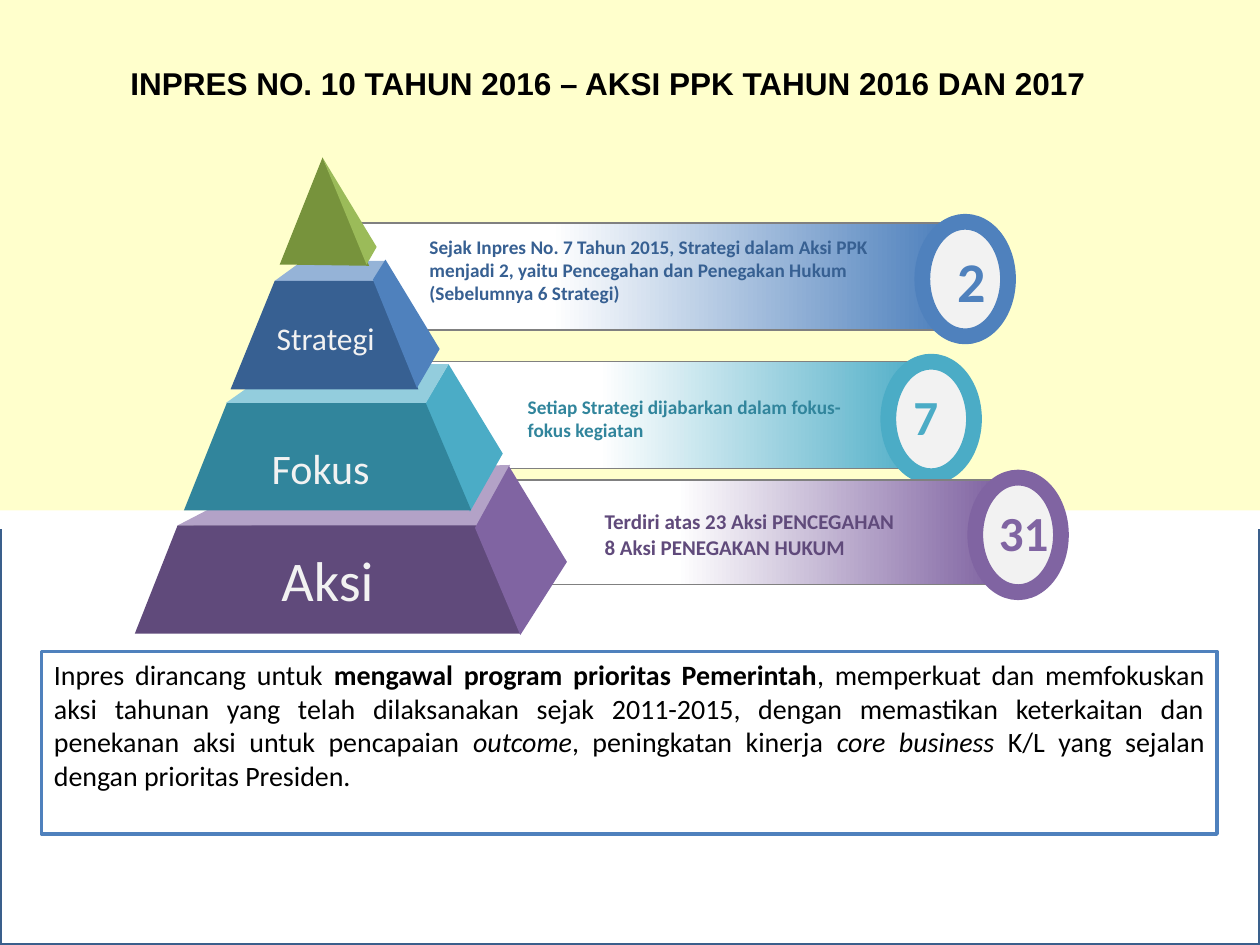
from copy import deepcopy

from lxml import etree
from pptx import Presentation
from pptx import util as u
from pptx.dml.color import RGBColor
from pptx.enum import shapes, text
from pptx.oxml.ns import qn

WHITE = RGBColor(0xFF, 0xFF, 0xFF)
BLACK = RGBColor(0, 0, 0)
CREAM = RGBColor(0xFF, 0xFF, 0xCC)
PALE = RGBColor(0xF2, 0xF2, 0xF2)
GRAY = RGBColor(0x80, 0x80, 0x80)
NAVY = RGBColor(0x3A, 0x5F, 0x8C)
# Dark, middle and light tone of each level
BLUE = [RGBColor.from_string(c) for c in ("376092", "4F81BD", "95B3D7")]
TEAL = [RGBColor.from_string(c) for c in ("31859C", "4BACC6", "93CDDD")]
PLUM = [RGBColor.from_string(c) for c in ("604A7B", "8064A2", "B3A2C7")]
LEAF = [RGBColor.from_string(c) for c in ("77933C", "9BBB59")]
RECT, OVAL = shapes.MSO_SHAPE.RECTANGLE, shapes.MSO_SHAPE.OVAL
ALIGN, ANCHOR = text.PP_ALIGN, text.MSO_ANCHOR


class Deck:
    face = "Calibri"

    def __init__(self, wide, high):
        self.prs = Presentation()
        self.prs.slide_width, self.prs.slide_height = u.Inches(wide), u.Inches(high)
        self.slide = self.prs.slides.add_slide(self.prs.slide_layouts[6])

    def paint(self, item, fill, line=None, width=0):
        item.shadow.inherit = False
        item.fill.solid()
        item.fill.fore_color.rgb = fill
        if line is None:
            item.line.fill.background()
        else:
            item.line.color.rgb = line
            item.line.width = u.Pt(width)
        return item

    def shape(self, kind, box, fill, line=None, width=0):
        item = self.slide.shapes.add_shape(kind, *map(u.Inches, box))
        return self.paint(item, fill, line, width)

    def fade(self, item, tone):
        """White up to 35 percent, then running into the tone."""
        item.fill.gradient()
        item.fill.gradient_angle = 0
        first, last = item.fill.gradient_stops
        first.color.rgb, last.color.rgb = WHITE, tone
        stops = item._element.spPr.find(qn("a:gradFill")).find(qn("a:gsLst"))
        mid = deepcopy(stops[0])
        mid.set("pos", "35000")
        stops.insert(1, mid)

    def side(self, points, fill):
        start, *rest = [tuple(map(u.Inches, p)) for p in points]
        form = self.slide.shapes.build_freeform(*start)
        form.add_line_segments(rest, close=True)
        self.paint(form.convert_to_shape(), fill)

    def words(self, item, paras, size, color, align=ALIGN.LEFT, wrap=True,
              anchor=ANCHOR.TOP, space=None, **style):
        """Each paragraph is a list of (words, extra format) pairs."""
        frame = item.text_frame
        frame.word_wrap, frame.vertical_anchor = wrap, anchor
        for i, runs in enumerate(paras):
            para = frame.add_paragraph() if i else frame.paragraphs[0]
            para.alignment, para.line_spacing = align, space
            for part, extra in runs:
                run = para.add_run()
                run.text = part
                look = {"name": self.face, "size": u.Pt(size), **style, **extra}
                for key, value in look.items():
                    setattr(run.font, key, value)
                run.font.color.rgb = color

    def label(self, box, lines, size, color, **style):
        item = self.slide.shapes.add_textbox(*map(u.Inches, box))
        self.words(item, [[(line, {})] for line in lines], size, color, **style)
        return item

    def shade(self, item):
        """Give the letters a small gray shadow."""
        for para in item.text_frame.paragraphs:
            for run in para.runs:
                props = run.font._element
                glow = etree.Element(qn("a:effectLst"))
                drop = etree.SubElement(glow, qn("a:outerShdw"),
                                        dist="25400", dir="2700000")
                etree.SubElement(drop, qn("a:srgbClr"), val="808080")
                props.find(qn("a:solidFill")).addnext(glow)


deck = Deck(10, 7.5)

# Backdrop
deck.shape(RECT, (0, 4.14, 10, 3.36), WHITE, NAVY, 2)
deck.shape(RECT, (0, 4.02, 10, 0.15), WHITE, WHITE, 4)
deck.shape(RECT, (0, 0, 10, 4.05), CREAM)

# Bars: tones, bar, note box, note lines, note size, wrap, ring spot,
# count box, count, count size
BARS = [
    (BLUE, (2.7, 1.77, 4.8, 0.85), (3.31, 1.82, 3.99, 0.66),
     ["Sejak Inpres No. 7 Tahun 2015, Strategi dalam Aksi PPK menjadi 2, "
      "yaitu Pencegahan dan Penegakan Hukum (Sebelumnya 6 Strategi)"],
     11, True, (7.32, 1.76), (7.5, 1.91, 0.43, 0.64), "2", 32),
    (TEAL, (3.35, 2.87, 4.03, 0.85), (4.09, 3.09, 2.8, 0.47),
     ["Setiap Strategi dijabarkan dalam fokus-fokus kegiatan"],
     11, True, (7.05, 2.87), (7.15, 3.02, 0.4, 0.57), "7", 28),
    (PLUM, (4, 3.81, 3.92, 0.83), (4.7, 3.99, 2.57, 0.5),
     ["Terdiri atas 23 Aksi PENCEGAHAN", "8 Aksi PENEGAKAN HUKUM"],
     12, False, (7.74, 3.79), (7.83, 3.94, 0.6, 0.57), "31", 28),
]
for (dark, tone, _), bar, note, lines, size, wrap, spot, box, count, big in BARS:
    deck.fade(deck.shape(RECT, bar, WHITE, GRAY, 0.75), tone)
    deck.label(note, lines, size, dark, wrap=wrap, bold=True)
    deck.shape(OVAL, (*spot, 0.68, 0.91), PALE, tone, 9)
    deck.label(box, [count], big, tone, wrap=False, bold=True)

# Pyramid, from the base up
SIDES = [
    (PLUM[2], [(1.41, 4.17), (3.78, 4.18), (4.05, 3.69), (2.24, 3.74)]),
    (PLUM[0], [(1.07, 5.03), (4.13, 5.03), (3.78, 4.17), (1.41, 4.17)]),
    (PLUM[1], [(4.13, 5.04), (4.5, 4.46), (4.04, 3.7), (3.77, 4.19)]),
    (TEAL[1], [(3.37, 3.21), (3.73, 4.06), (3.99, 3.6), (3.56, 2.89)]),
    (TEAL[2], [(1.79, 3.2), (3.38, 3.2), (3.56, 2.89), (2.23, 2.89)]),
    (TEAL[0], [(1.46, 4.05), (3.74, 4.05), (3.38, 3.2), (1.8, 3.2)]),
    (BLUE[2], [(2.18, 2.23), (2.96, 2.23), (3.06, 2.07), (2.4, 2.07)]),
    (BLUE[0], [(1.83, 3.09), (3.32, 3.09), (2.97, 2.23), (2.18, 2.23)]),
    (BLUE[1], [(3.31, 3.08), (3.49, 2.77), (3.06, 2.06), (2.96, 2.22)]),
    (LEAF[0], [(2.22, 2.1), (2.93, 2.11), (2.56, 1.25)]),
    (LEAF[1], [(2.91, 2.1), (2.99, 1.96), (2.56, 1.25)]),
]
for fill, points in SIDES:
    deck.side(points, fill)

# Level names
LEVELS = [
    ("Fokus", (2.05, 3.54, 0.99, 0.43), 24, {"space": 0.8}),
    ("Strategi", (2.09, 2.54, 0.99, 0.35), 18, {"space": 0.8}),
    ("Aksi", (1.56, 4.47, 2.08, 0.26), 32, {"anchor": ANCHOR.MIDDLE}),
]
for name, box, size, style in LEVELS:
    deck.shade(deck.label(box, [name], size, PALE, align=ALIGN.CENTER,
                          wrap=False, **style))

# Summary
panel = deck.shape(RECT, (0.33, 5.17, 9.33, 1.45), WHITE, BLUE[1], 2)
deck.words(panel, [[
    ("Inpres dirancang untuk ", {}),
    ("mengawal program prioritas Pemerintah", {"bold": True}),
    (", memperkuat dan memfokuskan aksi tahunan yang telah dilaksanakan sejak "
     "2011-2015, dengan memastikan keterkaitan dan penekanan aksi untuk "
     "pencapaian ", {}),
    ("outcome", {"italic": True}),
    (", peningkatan kinerja ", {}),
    ("core business", {"italic": True}),
    (" K/L yang sejalan dengan prioritas Presiden.", {}),
]], 16, BLACK, align=ALIGN.JUSTIFY)

# Title
deck.label((0.9, 0.46, 7.85, 0.4),
           ["INPRES NO. 10 TAHUN 2016 – AKSI PPK TAHUN 2016 DAN 2017"],
           18, BLACK, align=ALIGN.CENTER, name="Arial", bold=True)

deck.prs.save("out.pptx")
